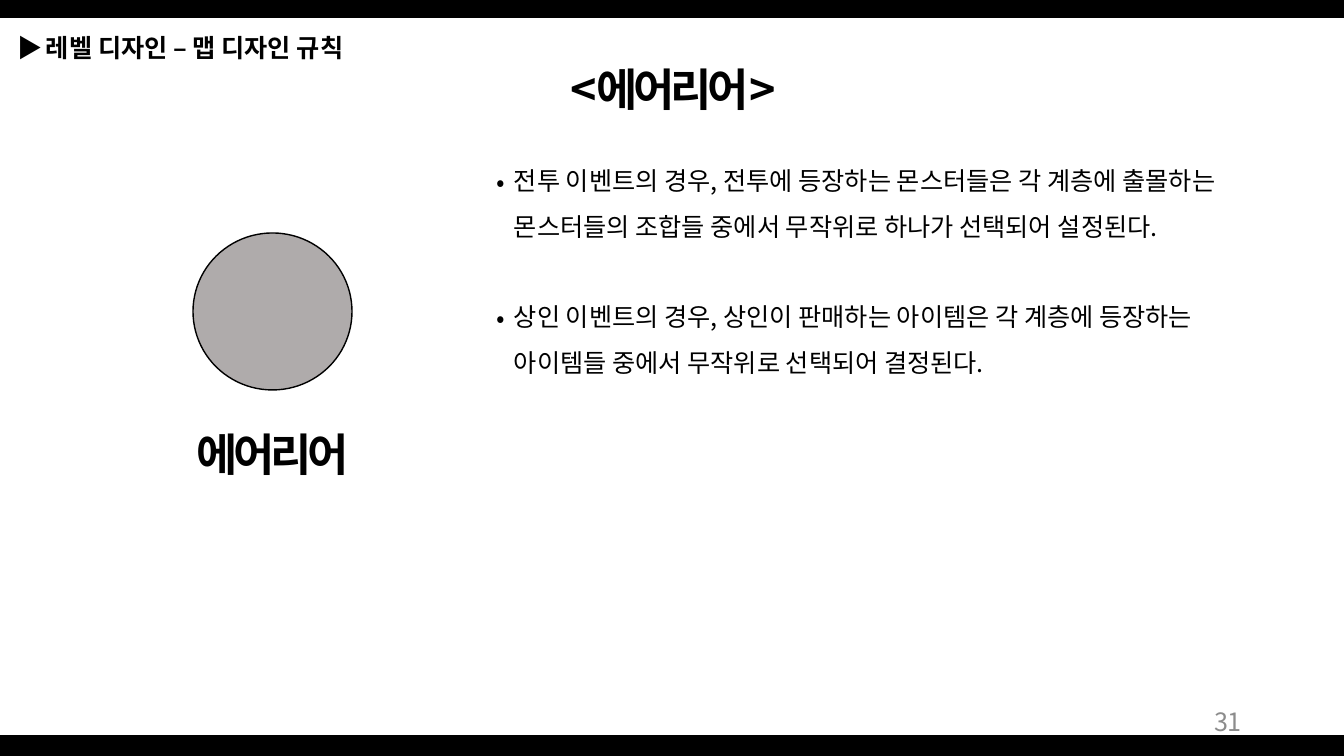
"""Build the area rules slide of a level design deck."""
from lxml import etree
from pptx import Presentation
from pptx import util as u
from pptx.dml.color import RGBColor
from pptx.enum import shapes, text
from pptx.oxml.ns import qn

PX = 12192000 / 1344
FONT = "Noto Sans CJK KR"
HUES = {"black": "000000", "gray": "AFABAB", "page": "8C8C8C"}
LEFT, MID, RIGHT = text.PP_ALIGN.LEFT, text.PP_ALIGN.CENTER, text.PP_ALIGN.RIGHT


def px(*nums):
    return [u.Emu(round(n * PX)) for n in nums]


def write(para, words, size=18, hue="black", bold=False, gap=0):
    run = para.add_run()
    run.text = words
    font = run.font
    font.name, font.size, font.bold = FONT, u.Pt(size), bold
    font.color.rgb = RGBColor.from_string(HUES[hue])
    props = run._r.get_or_add_rPr()
    props.set("spc", str(gap * 100))
    etree.SubElement(props, qn("a:ea")).set("typeface", FONT)


deck = Presentation()
deck.slide_width, deck.slide_height = px(1344, 756)
slide = deck.slides.add_slide(deck.slide_layouts[5])

forms = [
    (shapes.MSO_SHAPE.RECTANGLE, (0, 735, 1344, 21), "black"),
    (shapes.MSO_SHAPE.RECTANGLE, (0, 0, 1344, 18), "black"),
    (shapes.MSO_SHAPE.OVAL, (193, 233, 159, 157), "gray"),
]
for kind, box, hue in forms:
    form = slide.shapes.add_shape(kind, *px(*box))
    form.shadow.inherit = False
    form.fill.solid()
    form.fill.fore_color.rgb = RGBColor.from_string(HUES[hue])
    if hue == "gray":
        form.line.color.rgb = RGBColor.from_string(HUES["black"])
        form.line.width = u.Pt(1)
    else:
        form.line.fill.background()

big = {"size": 32, "bold": True, "gap": -3}
labels = [
    ((477, 56, 392, 65), MID, [("<에어리어>", big)]),
    ((104, 421, 338, 65), MID, [("에어리어", big)]),
    ((8, 27, 469, 40), LEFT, [("▶ ", {"gap": -2}),
                              ("레벨 디자인 – 맵 디자인 규칙", {"bold": True})]),
    ((950, 701, 302, 40), RIGHT, [("31", {"hue": "page"})]),
]
for spot, (box, align, runs) in enumerate(labels):
    if spot == 0:
        label = slide.shapes.title
        label.left, label.top, label.width, label.height = px(*box)
    else:
        label = slide.shapes.add_textbox(*px(*box))
    frame = label.text_frame
    frame.word_wrap = True
    frame.auto_size = text.MSO_AUTO_SIZE.NONE
    frame.vertical_anchor = text.MSO_ANCHOR.MIDDLE
    para = frame.paragraphs[0]
    para.alignment = align
    for words, style in runs:
        write(para, words, **style)

rules = [
    ("전투 이벤트의 경우, 전투에 등장하는 몬스터들은 각 계층에 출몰하는",
     "몬스터들의 조합들 중에서 무작위로 하나가 선택되어 설정된다."),
    ("상인 이벤트의 경우, 상인이 판매하는 아이템은 각 계층에 등장하는",
     "아이템들 중에서 무작위로 선택되어 결정된다."),
]
body = slide.shapes.add_textbox(*px(487, 145, 857, 233)).text_frame
body.word_wrap = True
hang = px(17)[0]
for spot, (first, second) in enumerate(rules):
    para = body.add_paragraph() if spot else body.paragraphs[0]
    props = para._p.get_or_add_pPr()
    props.set("marL", str(hang))
    props.set("indent", str(-hang))
    etree.SubElement(props, qn("a:buFont")).set("typeface", FONT)
    etree.SubElement(props, qn("a:buChar")).set("char", "•")
    para.line_spacing = px(46)[0]
    if spot:
        para.space_before = px(44)[0]
    write(para, first)
    para.add_line_break()
    write(para, second)

deck.save("out.pptx")
